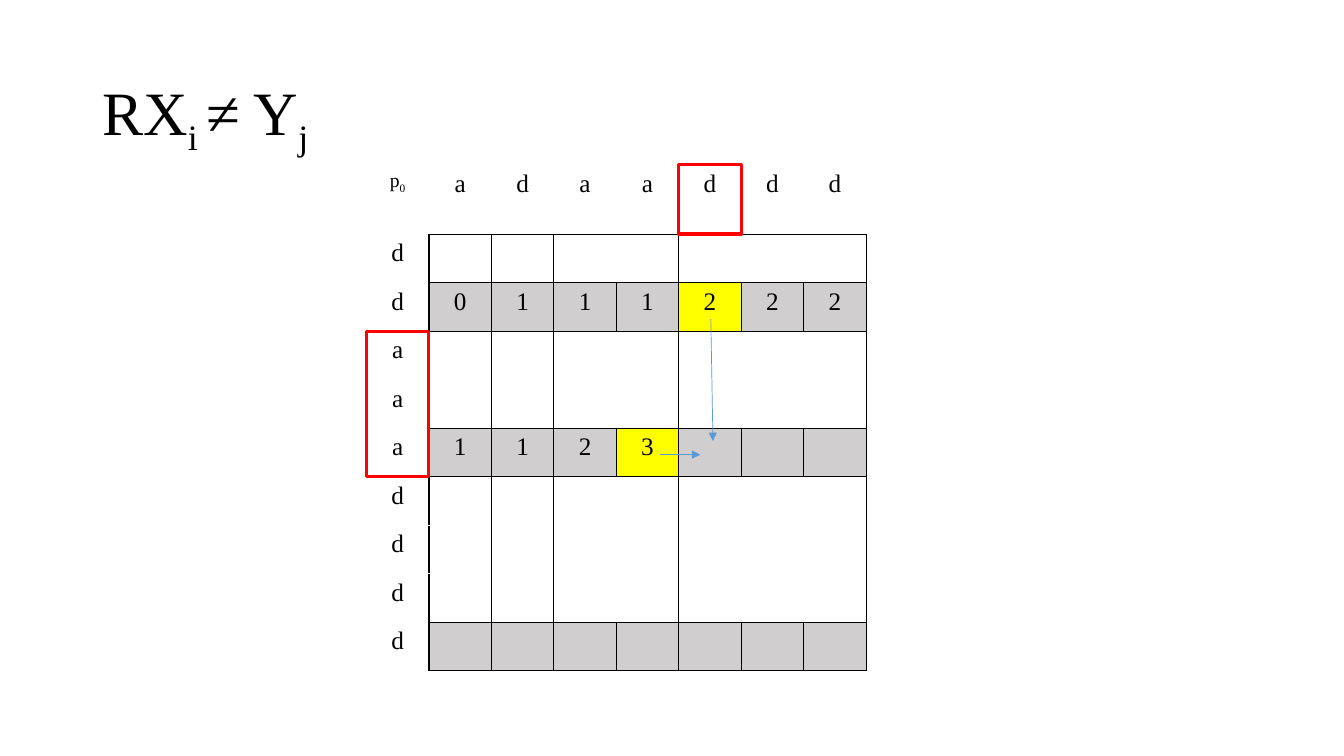
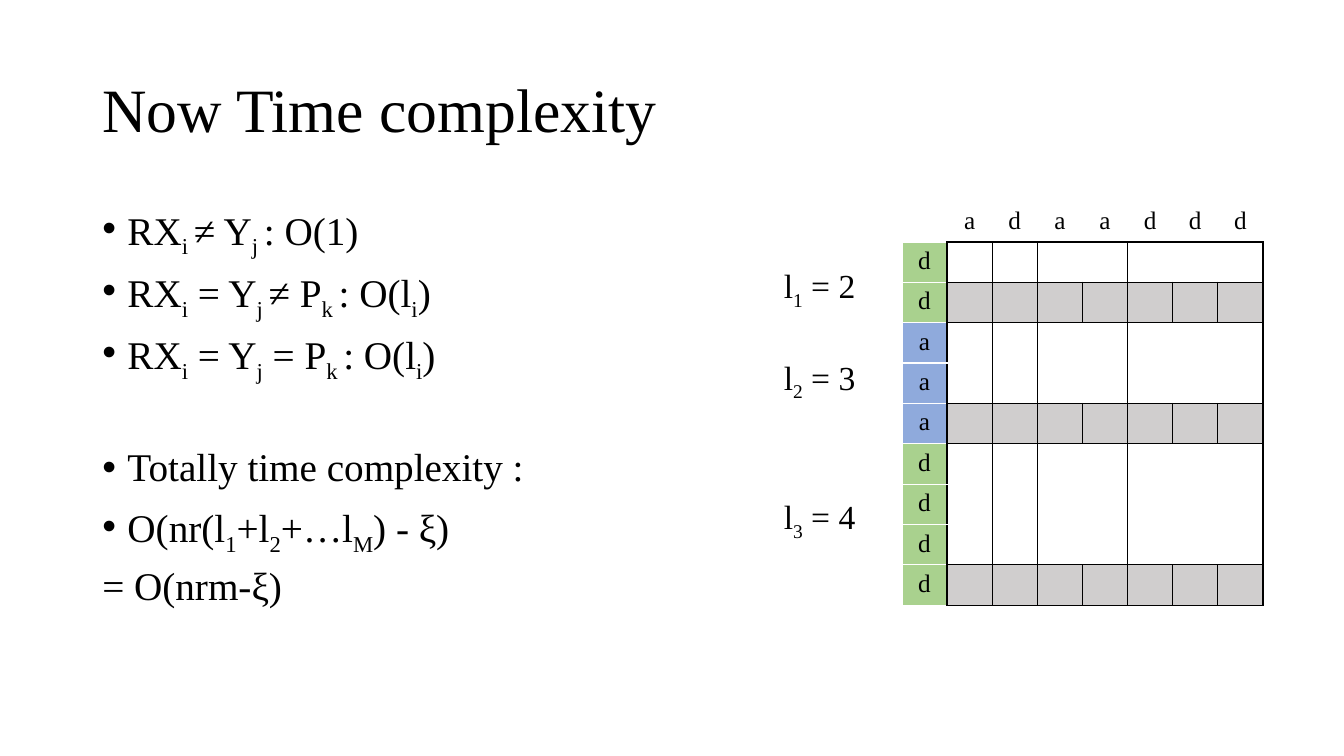
from lxml import etree
from pptx import Presentation
from pptx.dml.color import RGBColor
from pptx.enum import shapes, text
from pptx.oxml import ns
from pptx.util import Pt

PX = 9525
FONT = "Times New Roman"
C = {"ink": "000000", "paper": "FFFFFF", "stop": "D0CECE", "hit": "FFFF00",
     "d": "A9D18E", "a": "8FAADC", "arrow": "5B9BD5", "mark": "FF0000"}

TITLE_BOX = (88, 38, 1104, 139)
COLUMNS = "adaaddd"
ROWS = "ddaaadddd"
GROUP_STARTS = {1, 2, 3, 5}
GROUP_ENDS = {1, 2, 4, 7}
STOP_ROWS = {2, 5, 9}

TRACE = {
    "title": "RX|i |≠ Y|j",
    "box": (349, 157, 476, 482), "header": 66, "corner": "p|0",
    "values": {2: "0111222", 5: "1123"},
    "hits": {(2, 5), (5, 4)},
    "marks": [(0, 5, 1), (3, 0, 3)],
    "arrows": [(677, 304, 679, 420), (629, 433, 667, 433)],
}
COST = {
    "title": "Now Time complexity",
    "box": (859, 192, 344, 384), "header": 38,
    "body_box": (88, 192, 620, 457),
    "body": [("RX|i |≠ Y|j |: O(1)", True, 0),
             ("RX|i| = Y|j |≠ P|k |: O(l|i|)", True, 10),
             ("RX|i| = Y|j| = P|k |: O(l|i|)", True, 10),
             ("Totally time complexity :", True, 49),
             ("O(nr(l|1|+l|2|+…l|M|) - ξ)", True, 10),
             ("= O(nrm-ξ)", False, 10)],
    "lengths": [("l|1| = 2", 248), ("l|2| = 3", 335), ("l|3| = 4", 468)],
}


def rgb(name):
    return RGBColor.from_string(C[name])


def emu(*lengths):
    return [round(n * PX) for n in lengths]


def sub(parent, tag, **attrs):
    return etree.SubElement(parent, ns.qn(tag), attrs)


def add_runs(p, marked, size):
    for i, part in enumerate(marked.split("|")):
        r = p.add_run()
        r.text = part
        r.font.name = FONT
        r.font.size = Pt(size)
        r.font.color.rgb = rgb("ink")
        if i % 2:
            r._r.get_or_add_rPr().set("baseline", "-25000")


def add_box(s, box, wrap=True):
    tf = s.shapes.add_textbox(*emu(*box)).text_frame
    tf.word_wrap = wrap
    return tf


def add_title(s, marked):
    tf = add_box(s, TITLE_BOX)
    tf.vertical_anchor = text.MSO_ANCHOR.MIDDLE
    p = tf.paragraphs[0]
    p.line_spacing = 0.9
    add_runs(p, marked, 44)


def add_body(s, box, items):
    tf = add_box(s, box)
    for i, (marked, bullet, before) in enumerate(items):
        p = tf.add_paragraph() if i else tf.paragraphs[0]
        p.line_spacing = 0.9
        if before:
            p.space_before = Pt(before)
        if bullet:
            pPr = p._p.get_or_add_pPr()
            pPr.set("marL", str(24 * PX))
            pPr.set("indent", str(-24 * PX))
            sub(pPr, "a:buFont", typeface="Arial")
            sub(pPr, "a:buChar", char="•")
        add_runs(p, marked, 28)


def edges(row, col):
    if row == 0:
        bottom = "ink" if col else "paper"
        return {"L": "paper", "R": "paper", "T": "paper", "B": bottom}
    if col == 0:
        return {"L": "paper", "R": "ink", "T": "paper", "B": "paper"}
    stop = row in STOP_ROWS
    drawn = {"L": stop or col in GROUP_STARTS,
             "R": stop or col in GROUP_ENDS,
             "T": stop or row == 1 or row - 1 in STOP_ROWS,
             "B": stop or row + 1 in STOP_ROWS}
    return {side: "ink" if on else None for side, on in drawn.items()}


def cell_text(grid, row, col):
    if row == 0:
        return COLUMNS[col - 1] if col else grid.get("corner", "")
    if col == 0:
        return ROWS[row - 1]
    return grid.get("values", {}).get(row, "")[col - 1:col]


def cell_fill(grid, row, col):
    if (row, col) in grid.get("hits", ()):
        return "hit"
    if row and not col:
        return None if "values" in grid else ROWS[row - 1]
    return "stop" if col and row in STOP_ROWS else None


def style_cell(cell, marked, borders, fill):
    tcPr = cell._tc.get_or_add_tcPr()
    for side, color in borders.items():
        ln = sub(tcPr, f"a:ln{side}", w=str(Pt(1)))
        if color:
            sub(sub(ln, "a:solidFill"), "a:srgbClr", val=C[color])
        else:
            sub(ln, "a:noFill")
    if fill:
        cell.fill.solid()
        cell.fill.fore_color.rgb = rgb(fill)
    else:
        cell.fill.background()
    if marked:
        p = cell.text_frame.paragraphs[0]
        p.alignment = text.PP_ALIGN.CENTER
        add_runs(p, marked, 14 if "|" in marked else 18)
    else:
        cell.margin_top = cell.margin_bottom = 0


def grid_steps(grid):
    width, height = grid["box"][2:]
    col_w = width / (len(COLUMNS) + 1)
    row_h = (height - grid["header"]) / len(ROWS)
    return col_w, [grid["header"]] + [row_h] * len(ROWS)


def add_grid(s, grid):
    col_w, heights = grid_steps(grid)
    n_cols = len(COLUMNS) + 1
    table = s.shapes.add_table(len(heights), n_cols, *emu(*grid["box"])).table
    table.first_row = table.horz_banding = False
    for column in table.columns:
        column.width = round(col_w * PX)
    for row, height in enumerate(heights):
        table.rows[row].height = round(height * PX)
        for col in range(n_cols):
            style_cell(table.cell(row, col), cell_text(grid, row, col),
                       edges(row, col), cell_fill(grid, row, col))


def add_mark(s, grid, row, col, span):
    col_w, heights = grid_steps(grid)
    left, top = grid["box"][:2]
    box = (left + col * col_w, top + sum(heights[:row]),
           col_w, sum(heights[row:row + span]))
    sp = s.shapes.add_shape(shapes.MSO_SHAPE.RECTANGLE, *emu(*box))
    sp.shadow.inherit = False
    sp.fill.background()
    sp.line.color.rgb = rgb("mark")
    sp.line.width = Pt(2.25)


def add_arrow(s, ends):
    line = s.shapes.add_connector(shapes.MSO_CONNECTOR.STRAIGHT, *emu(*ends))
    line.line.color.rgb = rgb("arrow")
    line.line.width = Pt(0.5)
    sub(line.line._get_or_add_ln(), "a:tailEnd", type="triangle")
    sub(line._element.spPr, "a:effectLst")


def add_slide(prs, title):
    s = prs.slides.add_slide(prs.slide_layouts[6])
    add_title(s, title)
    return s


def main():
    prs = Presentation()
    prs.slide_width, prs.slide_height = emu(1280, 720)

    s = add_slide(prs, TRACE["title"])
    add_grid(s, TRACE)
    for ends in TRACE["arrows"]:
        add_arrow(s, ends)
    for mark in TRACE["marks"]:
        add_mark(s, TRACE, *mark)

    s = add_slide(prs, COST["title"])
    add_body(s, COST["body_box"], COST["body"])
    for marked, top in COST["lengths"]:
        tf = add_box(s, (737, top, 98, 48), wrap=False)
        add_runs(tf.paragraphs[0], marked, 24)
    add_grid(s, COST)

    prs.save("out.pptx")


if __name__ == "__main__":
    main()
